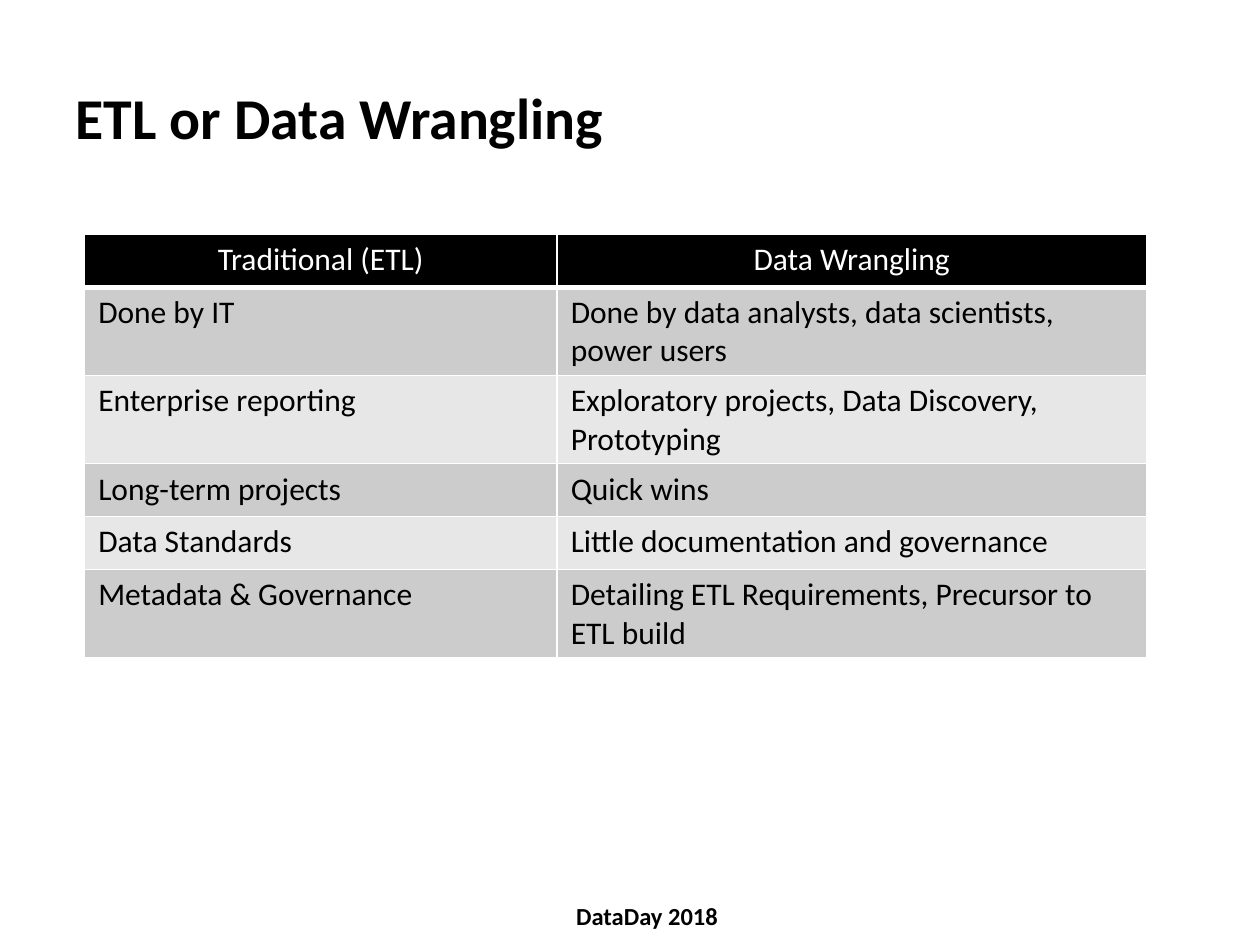
from lxml.etree import SubElement
from pptx import Presentation
from pptx.dml.color import RGBColor
from pptx.enum.text import MSO_ANCHOR, PP_ALIGN
from pptx.oxml.ns import qn
from pptx.util import Inches, Pt

FONT = "Calibri"
BLACK = RGBColor(0x00, 0x00, 0x00)
WHITE = RGBColor(0xFF, 0xFF, 0xFF)
DARK_BAND = RGBColor(0xCC, 0xCC, 0xCC)
LIGHT_BAND = RGBColor(0xE7, 0xE7, 0xE7)

COLUMN_WIDTHS = (3.75, 4.68)
ROW_HEIGHT = 0.42
COMPARISON = (
    ("Traditional (ETL)", "Data Wrangling"),
    ("Done by IT", "Done by data analysts, data scientists, power users"),
    ("Enterprise reporting", "Exploratory projects, Data Discovery, Prototyping"),
    ("Long-term projects", "Quick wins"),
    ("Data Standards", "Little documentation and governance"),
    ("Metadata & Governance", "Detailing ETL Requirements, Precursor to ETL build"),
)


def write(frame, text, size, color, align, bold=False):
    frame.text = text
    paragraph = frame.paragraphs[0]
    paragraph.alignment = align
    font = paragraph.font
    font.name = FONT
    font.size = Pt(size)
    font.bold = bold
    font.color.rgb = color


def add_title(slide, text):
    title = slide.shapes.title
    title.left, title.top = Inches(0.5), Inches(0.3)
    title.width, title.height = Inches(9), Inches(1.25)
    title.text_frame.vertical_anchor = MSO_ANCHOR.MIDDLE
    write(title.text_frame, text, 33, BLACK, PP_ALIGN.LEFT, bold=True)


def add_footer(slide, text):
    footer = slide.shapes.add_textbox(
        Inches(2.19), Inches(7.06), Inches(5.89), Inches(0.42))
    frame = footer.text_frame
    frame.word_wrap = True
    frame.vertical_anchor = MSO_ANCHOR.MIDDLE
    write(frame, text, 14, BLACK, PP_ALIGN.CENTER, bold=True)


def set_borders(cell, bottom_width):
    """White lines of 1 pt on every edge but the bottom, whose width is given."""
    properties = cell._tc.get_or_add_tcPr()
    for edge, width in (("L", 1), ("R", 1), ("T", 1), ("B", bottom_width)):
        line = SubElement(properties, qn(f"a:ln{edge}"), w=str(Pt(width)))
        fill = SubElement(line, qn("a:solidFill"))
        SubElement(fill, qn("a:srgbClr"), val=str(WHITE))


def format_cell(cell, text, row):
    is_header = row == 0
    cell.margin_left = cell.margin_right = Inches(0.11)
    cell.margin_top = cell.margin_bottom = Inches(0.05)
    set_borders(cell, 3 if is_header else 1)
    cell.fill.solid()
    if is_header:
        cell.fill.fore_color.rgb = BLACK
        write(cell.text_frame, text, 18, WHITE, PP_ALIGN.CENTER)
    else:
        cell.fill.fore_color.rgb = DARK_BAND if row % 2 else LIGHT_BAND
        write(cell.text_frame, text, 18, BLACK, PP_ALIGN.LEFT)


def add_comparison(slide):
    row_count = len(COMPARISON)
    table = slide.shapes.add_table(
        row_count, len(COLUMN_WIDTHS), Inches(0.67), Inches(1.86),
        Inches(sum(COLUMN_WIDTHS)), Inches(ROW_HEIGHT * row_count)).table
    for column, width in zip(table.columns, COLUMN_WIDTHS):
        column.width = Inches(width)
    for row, texts in enumerate(COMPARISON):
        table.rows[row].height = Inches(ROW_HEIGHT)
        for column, text in enumerate(texts):
            format_cell(table.cell(row, column), text, row)


def main():
    presentation = Presentation()
    presentation.slide_width = Inches(10)
    presentation.slide_height = Inches(7.5)
    slide = presentation.slides.add_slide(presentation.slide_layouts[5])
    add_footer(slide, "DataDay 2018")
    add_title(slide, "ETL or Data Wrangling")
    add_comparison(slide)
    presentation.save("out.pptx")


if __name__ == "__main__":
    main()
